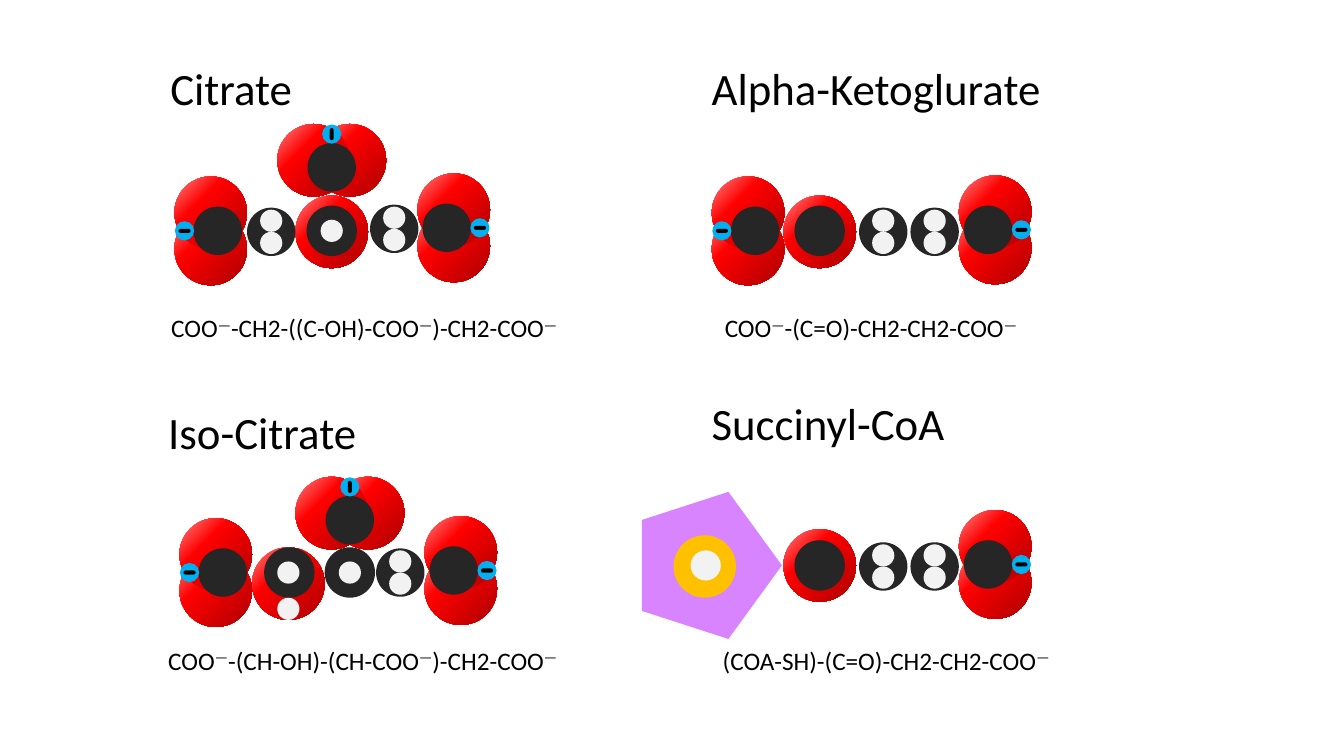
"""Build a slide of four ball models from the citric acid cycle."""
import pptx
import pptx.dml.color
import pptx.enum.shapes
import pptx.enum.text
import pptx.oxml
import pptx.oxml.ns
import pptx.util

Inches = pptx.util.Inches
SHAPES = pptx.enum.shapes.MSO_SHAPE
CARBON, HYDROGEN, OXYGEN = "262626", "F2F2F2", "FF0000"
CHARGE, BLACK, COENZYME, SULFUR = "00B0F0", "000000", "D883FF", "FFC000"
OXYGEN_FILL = (
    f'<a:gradFill {pptx.oxml.ns.nsdecls("a")} rotWithShape="1"><a:gsLst>'
    '<a:gs pos="0"><a:srgbClr val="AE0000"/></a:gs>'
    '<a:gs pos="65000"><a:srgbClr val="FF0000"/></a:gs>'
    '<a:gs pos="100000"><a:srgbClr val="FF8686"/></a:gs></a:gsLst>'
    '<a:path path="circle"><a:fillToRect l="100000" t="100000"/></a:path></a:gradFill>'
)
SIDES = {"right": (1, 0, 0, None), "left": (-1, 0, 0, "flipH"), "top": (0, -1, 270, None)}


def add_part(group, x, y, width, color, flip=None, rotation=0, height=None, preset=SHAPES.OVAL):
    """Add a borderless shape centred on x, y."""
    height = height or width
    shape = group.shapes.add_shape(
        preset, Inches(x - width / 2), Inches(y - height / 2), Inches(width), Inches(height))
    shape.shadow.inherit = False
    shape.line.fill.background()
    shape.fill.solid()
    shape.fill.fore_color.rgb = pptx.dml.color.RGBColor.from_string(color)
    shape.rotation = rotation
    properties = shape._element.spPr
    if color == OXYGEN:
        solid = properties.find(pptx.oxml.ns.qn("a:solidFill"))
        properties.replace(solid, pptx.oxml.parse_xml(OXYGEN_FILL))
    if flip:
        properties.find(pptx.oxml.ns.qn("a:xfrm")).set(flip, "1")
    return shape


def add_carboxylate(group, x, y, side):
    """Add a COO group whose charge faces the given side."""
    dx, dy, rotation, flip = SIDES[side]
    for offset in (0.18, -0.18):
        add_part(group, x + offset * abs(dy), y + offset * abs(dx), 0.72, OXYGEN, flip, rotation)
    add_part(group, x - 0.07 * dx, y - 0.07 * dy, 0.48, CARBON, flip, rotation)
    charge_x, charge_y = x + 0.26 * dx, y + 0.26 * dy
    add_part(group, charge_x, charge_y, 0.19, CHARGE, flip, rotation)
    bar = add_part(group, charge_x, charge_y, 0.12, BLACK, flip, rotation, 0.04,
                   SHAPES.ROUNDED_RECTANGLE)
    bar.adjustments[0] = 0.5


presentation = pptx.Presentation()
presentation.slide_width = Inches(13.33)
presentation.slide_height = Inches(7.5)
slide = presentation.slides.add_slide(presentation.slide_layouts[6])

labels = [
    (1.59, 0.55, 1.42, 0.64, 32, "Citrate"),
    (1.57, 3.97, 2.09, 0.64, 32, "Iso-Citrate"),
    (6.96, 0.55, 3.5, 0.64, 32, "Alpha-Ketoglurate"),
    (6.96, 3.88, 2.54, 0.64, 32, "Succinyl-CoA"),
    (1.6, 3.05, 4.13, 0.4, 18, "COO—-CH2-((C-OH)-COO—)-CH2-COO—"),
    (1.57, 6.35, 4.22, 0.4, 18, "COO—-(CH-OH)-(CH-COO—)-CH2-COO—"),
    (7.09, 3.05, 3.23, 0.4, 18, "COO—-(C=O)-CH2-CH2-COO—"),
    (7.07, 6.35, 3.5, 0.4, 18, "(COA-SH)-(C=O)-CH2-CH2-COO—"),
]
for left, top, width, height, size, text in labels:
    box = slide.shapes.add_textbox(Inches(left), Inches(top), Inches(width), Inches(height))
    frame = box.text_frame
    frame.word_wrap = False
    frame.auto_size = pptx.enum.text.MSO_AUTO_SIZE.SHAPE_TO_FIT_TEXT
    paragraph = frame.paragraphs[0]
    for piece in filter(None, text.replace("—", "|—|").split("|")):
        run = paragraph.add_run()
        run.text = piece
        run.font.name = "Calibri"
        run.font.size = pptx.util.Pt(size)
        run.font.color.rgb = pptx.dml.color.RGBColor.from_string(BLACK)
        if piece == "—":
            run._r.get_or_add_rPr().set("baseline", "30000")

citrate = (
    [(3.29, 2.3, 0.72, OXYGEN), (3.29, 2.29, 0.5, CARBON), (3.29, 2.29, 0.22, HYDROGEN)],
    [(2.69, 2.3), (3.91, 2.27)],
    [(4.5, 2.26, "right"), (2.09, 2.29, "left"), (3.29, 1.59, "top")],
)
iso_citrate = (
    [(2.86, 5.79, 0.72, OXYGEN, "flipV"), (2.87, 5.68, 0.5, CARBON),
     (2.86, 6.04, 0.22, HYDROGEN), (2.86, 5.68, 0.22, HYDROGEN),
     (3.47, 5.68, 0.5, CARBON), (3.47, 5.68, 0.22, HYDROGEN)],
    [(3.97, 5.68)],
    [(4.57, 5.66, "right"), (2.14, 5.68, "left"), (3.47, 5.09, "top")],
)
alpha_ketoglurate = (
    [(8.13, 2.3, 0.72, OXYGEN), (8.13, 2.29, 0.5, CARBON)],
    [(8.76, 2.3), (9.27, 2.3)],
    [(9.87, 2.28, "right"), (7.42, 2.29, "left")],
)
succinyl_coa = (
    [(8.13, 5.61, 0.72, OXYGEN), (8.13, 5.61, 0.5, CARBON),
     (7.06, 5.61, 1.46, COENZYME, "flipV", 270, 1.39, SHAPES.REGULAR_PENTAGON),
     (6.99, 5.62, 0.62, SULFUR), (7, 5.61, 0.3, HYDROGEN)],
    [(8.76, 5.62), (9.27, 5.62)],
    [(9.87, 5.6, "right")],
)
for atoms, methylenes, carboxylates in (citrate, iso_citrate, alpha_ketoglurate, succinyl_coa):
    group = slide.shapes.add_group_shape()
    for atom in atoms:
        add_part(group, *atom)
    for x, y in methylenes:
        add_part(group, x, y, 0.48, CARBON)
        for offset in (-0.11, 0.11):
            add_part(group, x, y + offset, 0.22, HYDROGEN)
    for carboxylate in carboxylates:
        add_carboxylate(group, *carboxylate)

presentation.save("out.pptx")
